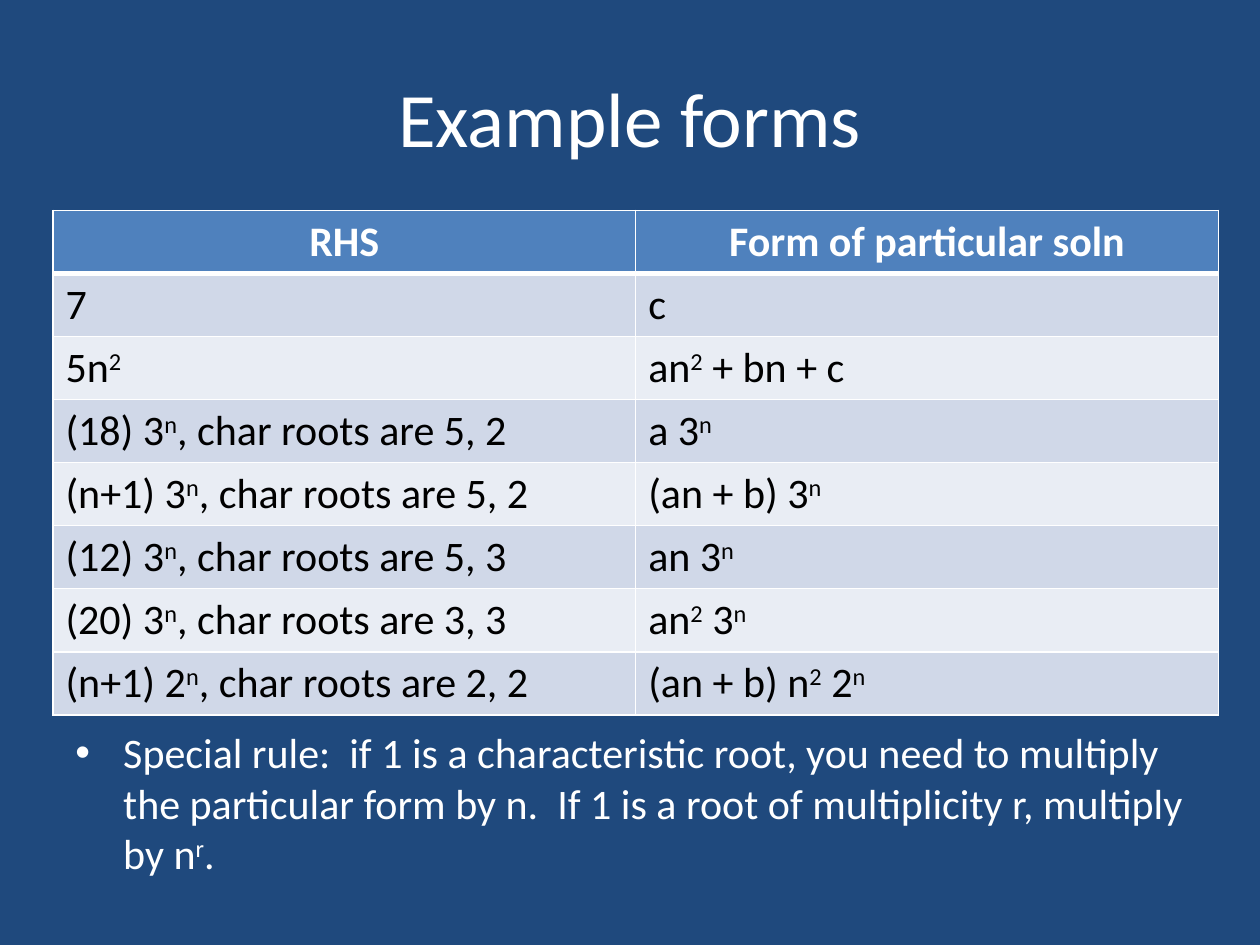
from dataclasses import dataclass

from lxml.etree import SubElement
from pptx import Presentation
from pptx.dml.color import RGBColor
from pptx.enum.text import MSO_ANCHOR, PP_ALIGN
from pptx.oxml.ns import qn
from pptx.util import Inches, Pt


@dataclass(frozen=True)
class Theme:
    font: str = "Calibri"
    title_size: int = 44
    body_size: int = 24
    background: str = "1F497D"
    light: str = "FFFFFF"
    dark: str = "000000"
    header: str = "4F81BD"
    bands: tuple = ("D0D8E8", "E9EDF4")


theme = Theme()


def write(para, text, size, color, bold=False):
    """Fill a paragraph; the character after each ^ is a superscript."""
    para.font.name = theme.font
    para.font.size = Pt(size)
    para.font.bold = bold
    para.font.color.rgb = RGBColor.from_string(color)
    first, *rest = text.split("^")
    pieces = [(first, False)]
    for part in rest:
        pieces += [(part[0], True), (part[1:], False)]
    for piece, raised in pieces:
        if piece:
            span = para.add_run()
            span.text = piece
            if raised:
                span._r.get_or_add_rPr().set("baseline", "30000")


def draw_border(cell, side, width):
    line = SubElement(cell._tc.get_or_add_tcPr(), qn(f"a:ln{side}"), w=str(Pt(width)))
    fill = SubElement(line, qn("a:solidFill"))
    SubElement(fill, qn("a:srgbClr"), val=theme.light)


deck = Presentation()
deck.slide_width, deck.slide_height = Inches(10), Inches(7.5)
page = deck.slides.add_slide(deck.slide_layouts[6])
page.background.fill.solid()
page.background.fill.fore_color.rgb = RGBColor.from_string(theme.background)

# Title
margin = deck.slide_width * 0.05
content_width = deck.slide_width * 0.9
title = page.shapes.add_textbox(
    int(margin), int(deck.slide_height * 0.04), int(content_width), Inches(1.25)
).text_frame
title.word_wrap = True
title.vertical_anchor = MSO_ANCHOR.MIDDLE
title.paragraphs[0].alignment = PP_ALIGN.CENTER
write(title.paragraphs[0], "Example forms", theme.title_size, theme.light)

# Table of right-hand sides and their particular solutions
forms = [
    ("RHS", "Form of particular soln"),
    ("7", "c"),
    ("5n^2", "an^2 + bn + c"),
    ("(18) 3^n, char roots are 5, 2", "a 3^n"),
    ("(n+1) 3^n, char roots are 5, 2", "(an + b) 3^n"),
    ("(12) 3^n, char roots are 5, 3", "an 3^n"),
    ("(20) 3^n, char roots are 3, 3", "an^2 3^n"),
    ("(n+1) 2^n, char roots are 2, 2", "(an + b) n^2 2^n"),
]
table_top = Inches(1.67)
row_height = Inches(0.5)
table = page.shapes.add_table(
    len(forms), 2, Inches(0.42), table_top, Inches(9.25), row_height * len(forms)
).table
for row, texts in enumerate(forms):
    is_header = row == 0
    for column, text in enumerate(texts):
        cell = table.cell(row, column)
        widths = {"L": 1, "R": 1, "T": 3 if row == 1 else 1, "B": 3 if is_header else 1}
        for side, width in widths.items():
            draw_border(cell, side, width)
        cell.fill.solid()
        color = theme.header if is_header else theme.bands[(row - 1) % 2]
        cell.fill.fore_color.rgb = RGBColor.from_string(color)
        para = cell.text_frame.paragraphs[0]
        para.alignment = PP_ALIGN.CENTER if is_header else PP_ALIGN.LEFT
        write(para, text, theme.body_size, theme.light if is_header else theme.dark, is_header)

# Special rule below the table
rule_top = Inches(5.72)
rule = page.shapes.add_textbox(
    int(margin), rule_top, int(content_width), deck.slide_height - rule_top
).text_frame
rule.word_wrap = True
para = rule.paragraphs[0]
properties = para._p.get_or_add_pPr()
properties.set("marL", str(Inches(0.38)))
properties.set("indent", str(Inches(-0.38)))
SubElement(properties, qn("a:buFont"), typeface="Arial")
SubElement(properties, qn("a:buChar"), char="•")
write(
    para,
    "Special rule:  if 1 is a characteristic root, you need to multiply the particular "
    "form by n.  If 1 is a root of multiplicity r, multiply by n^r.",
    theme.body_size,
    theme.light,
)

deck.save("out.pptx")
